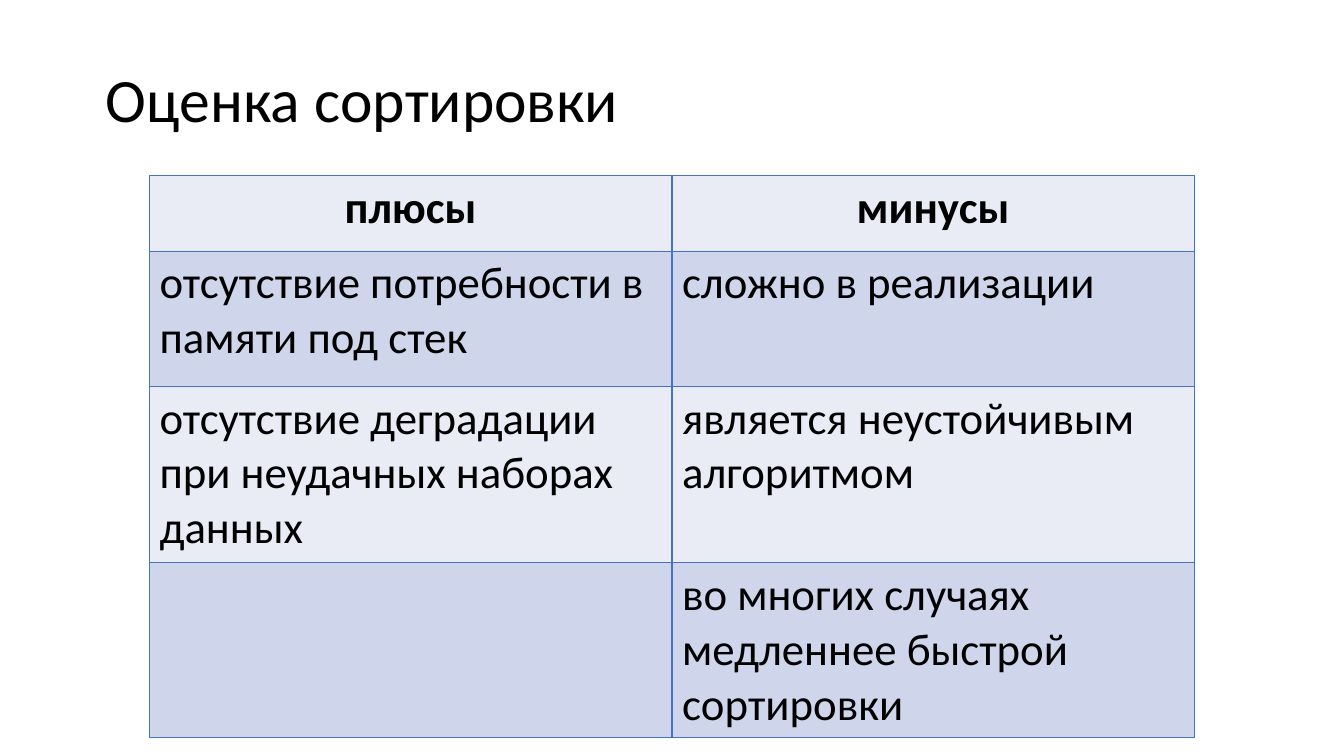
from lxml import etree
from pptx import Presentation
from pptx.dml.color import RGBColor
from pptx.enum.text import MSO_ANCHOR, MSO_AUTO_SIZE, PP_ALIGN
from pptx.oxml.ns import qn
from pptx.util import Pt

LEFT, CENTER = PP_ALIGN.LEFT, PP_ALIGN.CENTER
MIDDLE = MSO_ANCHOR.MIDDLE
NO_AUTOFIT = MSO_AUTO_SIZE.NONE

BLACK = RGBColor(0x00, 0x00, 0x00)
BORDER_BLUE = RGBColor(0x44, 0x72, 0xC4)
BANDS = (RGBColor(0xE9, 0xEB, 0xF5), RGBColor(0xCF, 0xD5, 0xEA))
FONT = "Calibri"

HEADING = "Оценка сортировки"
PROS_AND_CONS = [
    ("плюсы", "минусы"),
    ("отсутствие потребности в памяти под стек", "сложно в реализации"),
    ("отсутствие деградации при неудачных наборах данных",
     "является неустойчивым алгоритмом"),
    ("", "во многих случаях медленнее быстрой сортировки"),
]
ROW_HEIGHTS = (54, 96.5, 126, 117.5)


def write(frame, text, size=32, bold=False, align=LEFT, spacing=1.0):
    paragraph = frame.paragraphs[0]
    paragraph.alignment = align
    paragraph.line_spacing = spacing
    run = paragraph.add_run()
    run.text = text
    run.font.name = FONT
    run.font.size = Pt(size)
    run.font.bold = bold
    run.font.color.rgb = BLACK


def add_borders(cell, color, width):
    properties = cell._tc.get_or_add_tcPr()
    for side in ("a:lnL", "a:lnR", "a:lnT", "a:lnB"):
        line = etree.SubElement(properties, qn(side), w=str(Pt(width)))
        fill = etree.SubElement(line, qn("a:solidFill"))
        etree.SubElement(fill, qn("a:srgbClr"), val=str(color))


def place_heading(slide, left, top, width, height):
    heading = slide.shapes.title
    heading.left, heading.top = Pt(left), Pt(top)
    heading.width, heading.height = Pt(width), Pt(height)
    frame = heading.text_frame
    frame.word_wrap = True
    frame.auto_size = NO_AUTOFIT
    frame.vertical_anchor = MIDDLE
    write(frame, HEADING, size=44, spacing=0.9)


def place_comparison(slide, left, top, width):
    columns = len(PROS_AND_CONS[0])
    comparison = slide.shapes.add_table(
        len(PROS_AND_CONS), columns,
        Pt(left), Pt(top), Pt(width), Pt(sum(ROW_HEIGHTS))).table
    for column in comparison.columns:
        column.width = Pt(width / columns)

    for index, (entries, height) in enumerate(zip(PROS_AND_CONS, ROW_HEIGHTS)):
        comparison.rows[index].height = Pt(height)
        is_header = index == 0
        for cell, entry in zip(comparison.rows[index].cells, entries):
            # Borders come before the fill in the cell properties
            add_borders(cell, BORDER_BLUE, 1)
            cell.fill.solid()
            cell.fill.fore_color.rgb = BANDS[index % 2]
            if entry:
                write(cell.text_frame, entry, bold=is_header,
                      align=CENTER if is_header else LEFT)


def main():
    presentation = Presentation()
    presentation.slide_width, presentation.slide_height = Pt(960), Pt(540)
    title_only = presentation.slide_layouts[5]
    slide = presentation.slides.add_slide(title_only)

    # Heading
    place_heading(slide, 68.5, 21, 828, 104.5)
    # Pros and cons of the sorting method
    place_comparison(slide, 106.75, 125.5, 746.5)

    presentation.save("out.pptx")


if __name__ == "__main__":
    main()
